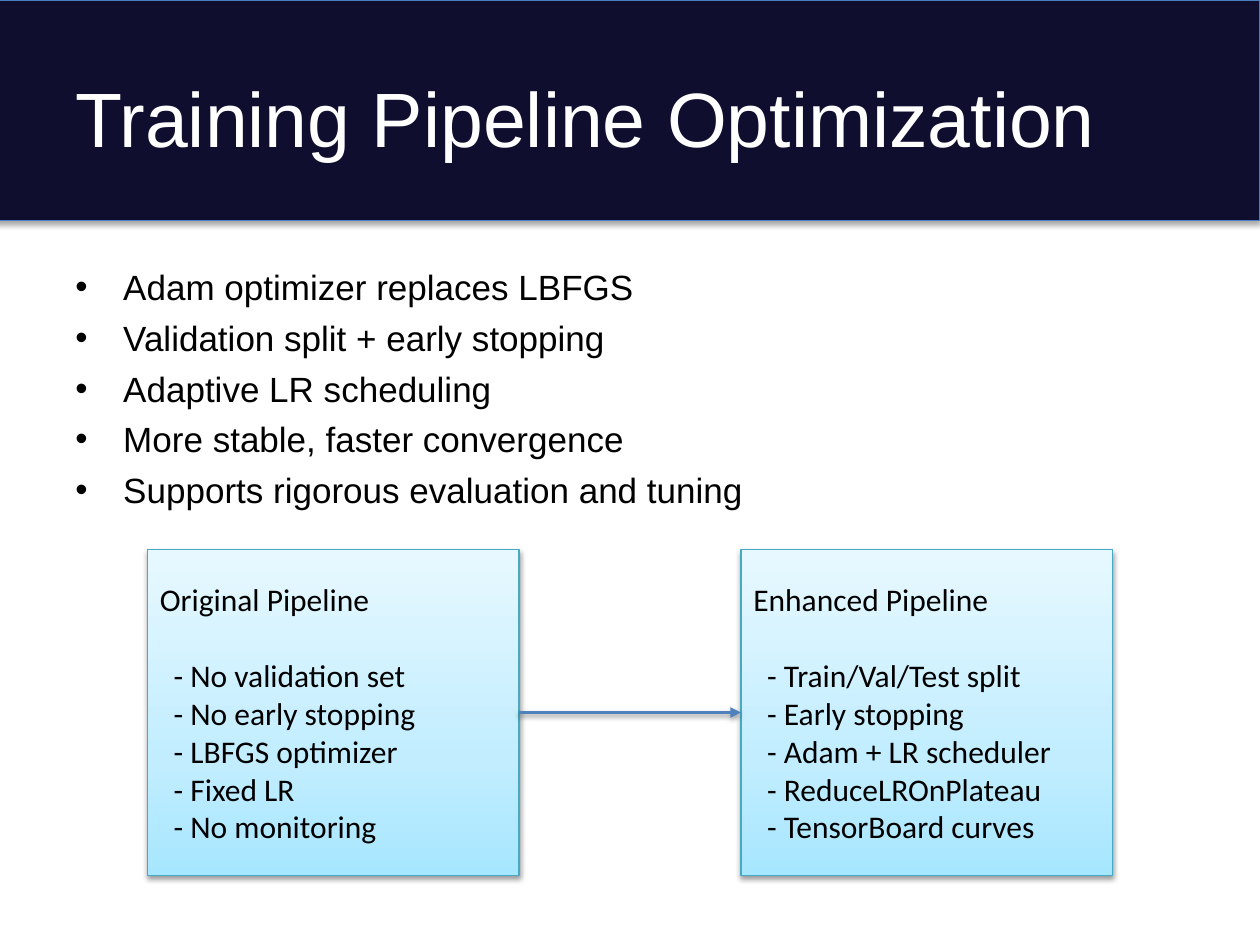
from dataclasses import dataclass, field

from lxml import etree
from pptx import Presentation
from pptx.dml.color import RGBColor
from pptx.enum.shapes import MSO_CONNECTOR, MSO_SHAPE
from pptx.enum.text import MSO_ANCHOR, PP_ALIGN
from pptx.oxml import parse_xml
from pptx.oxml.ns import nsdecls, qn
from pptx.util import Inches, Pt

RECTANGLE = MSO_SHAPE.RECTANGLE
STRAIGHT = MSO_CONNECTOR.STRAIGHT
TOP, MIDDLE = MSO_ANCHOR.TOP, MSO_ANCHOR.MIDDLE
LEFT = PP_ALIGN.LEFT
LEFT_SIDE, RIGHT_SIDE = 1, 3

SLIDE_WIDTH, SLIDE_HEIGHT = Inches(10), Inches(7.5)
COLUMNS, ROWS = 100, 75


@dataclass(frozen=True)
class Theme:
    band: str = "100E2F"
    band_line: str = "4B7EBC"
    card_line: str = "46AAC5"
    card_stops: tuple = ((0, "A7E6FF"), (35, "C1EDFF"), (100, "E7F8FF"))
    arrow: str = "4F81BD"
    title_text: str = "FFFFFF"
    body_text: str = "000000"
    heading_font: str = "Arial"
    card_font: str = "Calibri"
    title_size: int = 44
    bullet_size: int = 20
    card_size: int = 18


@dataclass(frozen=True)
class Area:
    left: float
    top: float
    width: float
    height: float

    def emu(self) -> tuple:
        column, row = SLIDE_WIDTH / COLUMNS, SLIDE_HEIGHT / ROWS
        return (round(self.left * column), round(self.top * row),
                round(self.width * column), round(self.height * row))


@dataclass(frozen=True)
class Line:
    text: str
    spacing: dict = field(default_factory=dict)
    indent: dict = field(default_factory=dict)
    bullet: str = ""


@dataclass(frozen=True)
class Pipeline:
    heading: str
    traits: tuple
    left: float


THEME = Theme()
CARD_WIDTH, CARD_MARGIN = 29.5, 11.7

BULLETS = (
    "Adam optimizer replaces LBFGS",
    "Validation split + early stopping",
    "Adaptive LR scheduling",
    "More stable, faster convergence",
    "Supports rigorous evaluation and tuning",
)
PIPELINES = (
    Pipeline("Original Pipeline",
             ("No validation set", "No early stopping", "LBFGS optimizer",
              "Fixed LR", "No monitoring"),
             CARD_MARGIN),
    Pipeline("Enhanced Pipeline",
             ("Train/Val/Test split", "Early stopping", "Adam + LR scheduler",
              "ReduceLROnPlateau", "TensorBoard curves"),
             COLUMNS - CARD_MARGIN - CARD_WIDTH),
)


def apply(target, values: dict) -> None:
    for name, value in values.items():
        setattr(target, name, value)


def text_format(font: str, size: int) -> dict:
    return {"name": font, "size": Pt(size), "bold": False}


def write(shape, lines: list, font_format: dict, color: str, anchor) -> None:
    frame = shape.text_frame
    apply(frame, {"word_wrap": True, "vertical_anchor": anchor})
    for index, line in enumerate(lines):
        paragraph = frame.add_paragraph() if index else frame.paragraphs[0]
        apply(paragraph, {"alignment": LEFT, **line.spacing})
        properties = paragraph._p.get_or_add_pPr()
        for name, length in line.indent.items():
            properties.set(name, str(int(length)))
        if line.bullet:
            etree.SubElement(properties, qn("a:buFont"), typeface="Arial")
            etree.SubElement(properties, qn("a:buChar"), char=line.bullet)
        run = paragraph.add_run()
        run.text = line.text
        apply(run.font, font_format)
        run.font.color.rgb = RGBColor.from_string(color)


def outline(shape, color: str, width: float) -> None:
    shape.line.color.rgb = RGBColor.from_string(color)
    shape.line.width = Pt(width)


def cast_shadow(shape, opacity: int, distance: float) -> None:
    shape._element.spPr.append(parse_xml(
        f'<a:effectLst {nsdecls("a")}><a:outerShdw blurRad="{Pt(3.1)}" '
        f'dist="{Pt(distance)}" dir="5400000" rotWithShape="0">'
        f'<a:srgbClr val="000000"><a:alpha val="{opacity * 1000}"/></a:srgbClr>'
        f'</a:outerShdw></a:effectLst>'))


def fill_upward(shape, stops: tuple) -> None:
    marks = "".join(f'<a:gs pos="{share * 1000}"><a:srgbClr val="{color}"/></a:gs>'
                    for share, color in stops)
    shape._element.spPr.find(qn("a:prstGeom")).addnext(parse_xml(
        f'<a:gradFill {nsdecls("a")} rotWithShape="1"><a:gsLst>{marks}</a:gsLst>'
        f'<a:lin ang="16200000" scaled="0"/></a:gradFill>'))


def draw_header(shapes, title: str) -> None:
    band = shapes.add_shape(RECTANGLE, *Area(-0.4, 0, 100.4, 17.5).emu())
    band.fill.solid()
    band.fill.fore_color.rgb = RGBColor.from_string(THEME.band)
    outline(band, THEME.band_line, 0.75)
    cast_shadow(band, 35, 1.8)
    write(shapes.add_textbox(*Area(5, 3, 90, 12.5).emu()), [Line(title)],
          text_format(THEME.heading_font, THEME.title_size), THEME.title_text, MIDDLE)


def draw_bullets(shapes, points: tuple) -> None:
    hanging = {"marL": Inches(0.38), "indent": Inches(-0.38)}
    lines = [Line(point, {"space_before": Pt(5)}, hanging, "•") for point in points]
    write(shapes.add_textbox(*Area(5, 20.6, 90, 21).emu()), lines,
          text_format(THEME.heading_font, THEME.bullet_size), THEME.body_text, TOP)


def draw_pipeline(shapes, pipeline: Pipeline):
    card = shapes.add_shape(
        RECTANGLE, *Area(pipeline.left, 43.6, CARD_WIDTH, 25.9).emu())
    fill_upward(card, THEME.card_stops)
    outline(card, THEME.card_line, 0.75)
    cast_shadow(card, 38, 1.6)
    lines = [Line(pipeline.heading, {"space_after": Pt(22)})]
    lines += [Line(f"- {trait}", indent={"marL": Inches(0.11)})
              for trait in pipeline.traits]
    write(card, lines, text_format(THEME.card_font, THEME.card_size),
          THEME.body_text, MIDDLE)
    return card


def draw_arrow(shapes, source, target) -> None:
    arrow = shapes.add_connector(STRAIGHT, 0, 0, 0, 0)
    arrow.begin_connect(source, RIGHT_SIDE)
    arrow.end_connect(target, LEFT_SIDE)
    outline(arrow, THEME.arrow, 2)
    etree.SubElement(arrow.line._get_or_add_ln(), qn("a:tailEnd"), type="triangle")
    cast_shadow(arrow, 38, 1.6)


def main() -> None:
    deck = Presentation()
    apply(deck, {"slide_width": SLIDE_WIDTH, "slide_height": SLIDE_HEIGHT})
    shapes = deck.slides.add_slide(deck.slide_layouts[6]).shapes
    draw_header(shapes, "Training Pipeline Optimization")
    draw_bullets(shapes, BULLETS)
    original, enhanced = [draw_pipeline(shapes, pipeline) for pipeline in PIPELINES]
    draw_arrow(shapes, original, enhanced)
    deck.save("out.pptx")


if __name__ == "__main__":
    main()
